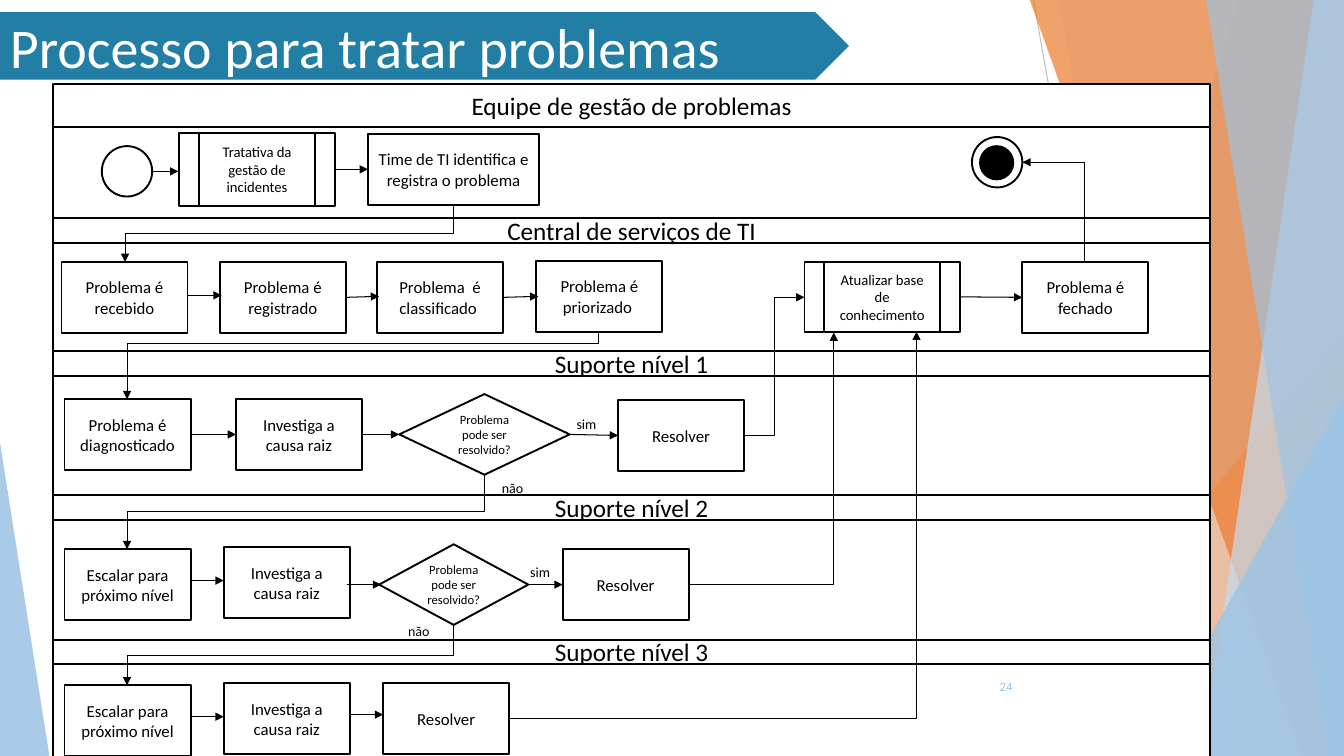
"""Build the problem-handling swimlane slide."""
from math import cos, radians, sin

from lxml.etree import SubElement
from pptx import Presentation
from pptx.dml.color import RGBColor
from pptx.enum.shapes import MSO_CONNECTOR as LINK, MSO_SHAPE as SHAPE
from pptx.enum.text import MSO_ANCHOR as ANCHOR, PP_ALIGN as ALIGN
from pptx.oxml.ns import qn
from pptx.util import Pt

PX = 9144
WIDTH, HEIGHT = 1333, 750
FONT, BLACK, WHITE = "Calibri", "000000", "FFFFFF"
SKY, ORANGE = "9CC3E5", "EC7B2D"
LANE_LEFT, LANE_WIDTH = 53, 1147
STEP_WIDTH, STEP_HEIGHT = 125, 70

BACKGROUND_LINES = [((1025, 0), (1158, 750), "BFBFBF"), ((1333, 403), (812, 750), "D9D9D9")]
BACKGROUND_BANDS = [
    (1228, 1004, SKY, 30),
    (1050, 1183, SKY, 20),
    (977, 333, 356, 417, 1, "F4B183", 72),
    (1021, 1291, ORANGE, 70),
    (1303, 1192, "C4DBEF", 70),
    (1196, 1318, SKY, 65),
    (1134, 393, 199, 357, 1, SKY, 80),
    (0, 439, 49, 311, 0, SKY, 85),
]
LANES = [
    (659, 119, ""),
    (83, 43, "Equipe de gestão de problemas"),
    (126, 90, ""),
    (216, 132, ""),
    (372, 119, ""),
    (348, 25, "Suporte nível 1"),
    (491, 25, "Suporte nível 2"),
    (634, 25, "Suporte nível 3"),
    (216, 25, "Central de serviços de TI"),
    (516, 119, ""),
]
EVENTS = [(101, 145, 50, WHITE), (964, 136, 50, WHITE), (972, 145, 33, BLACK)]
STEPS = [
    (61, 260, "Problema é recebido"),
    (218, 260, "Problema é registrado"),
    (374, 260, "Problema  é classificado "),
    (532, 259, "Problema é priorizado "),
    (1014, 260, "Problema é fechado"),
    (64, 396, "Problema é diagnosticado"),
    (234, 396, "Investiga a causa raiz"),
    (613, 397, "Resolver"),
    (64, 545, "Escalar para próximo nível"),
    (222, 543, "Investiga a causa raiz"),
    (558, 545, "Resolver"),
    (64, 680, "Escalar para próximo nível"),
    (222, 678, "Investiga a causa raiz"),
    (380, 678, "Resolver"),
]
SPECIAL_STEPS = [
    (SHAPE.FLOWCHART_PROCESS, (365, 133, 170, 70), "Time de TI identifica e registra o problema", 12),
    (SHAPE.FLOWCHART_PREDEFINED_PROCESS, (178, 132, 154, 72), "Tratativa da gestão de incidentes", 10.5),
    (SHAPE.FLOWCHART_PREDEFINED_PROCESS, (798, 260, 154, 69), "Atualizar base de conhecimento", 10.5),
    (SHAPE.FLOWCHART_DECISION, (396, 391, 169, 80), "Problema pode ser resolvido?", 9),
    (SHAPE.FLOWCHART_DECISION, (376, 540, 148, 80), "Problema pode ser resolvido?", 9),
]
ANSWERS = [(562, 407, "sim"), (488, 471, "não"), (516, 554, "sim"), (395, 613, "não")]
ARROWS = [
    ((151, 170), (177, 170)), ((332, 169), (365, 168)),
    ((186, 293), (220, 293)), ((343, 294), (376, 294)),
    ((500, 294), (534, 294)), ((952, 294), (1014, 295)),
    ((189, 431), (234, 431)), ((359, 431), (396, 431)), ((566, 431), (613, 432)),
    ((189, 576), (222, 576)), ((344, 580), (378, 580)), ((524, 580), (558, 580)),
    ((189, 711), (222, 711)), ((347, 709), (380, 709)),
]
ELBOWS = [
    ((450, 203), (124, 260), 90, 0.5),
    ((594, 329), (126, 396), 90, 0.18),
    ((481, 471), (126, 545), 90, 0.5),
    ((450, 620), (126, 680), 90, 0.5),
    ((738, 432), (798, 295), 0, 0.5),
    ((683, 580), (827, 330), 0, None),
    ((505, 713), (909, 329), 0, 1),
    ((1076, 260), (1014, 161), 270, None),
]


def rgb(color):
    return RGBColor.from_string(color)


def emu(*lengths):
    return [round(length * PX) for length in lengths]


def paint(shape, fill, outline=None, opacity=100):
    shape.shadow.inherit = False
    shape.fill.solid()
    shape.fill.fore_color.rgb = rgb(fill)
    if opacity < 100:
        color = shape._element.spPr.find(".//" + qn("a:srgbClr"))
        SubElement(color, qn("a:alpha")).set("val", str(opacity * 1000))
    if outline:
        shape.line.color.rgb = rgb(outline)
        shape.line.width = Pt(1.35)
    else:
        shape.line.fill.background()


def write(shape, text, size, color=BLACK, align=ALIGN.CENTER, anchor=ANCHOR.MIDDLE):
    frame = shape.text_frame
    frame.word_wrap = True
    frame.vertical_anchor = anchor
    paragraph = frame.paragraphs[0]
    paragraph.text = text
    paragraph.alignment = align
    paragraph.font.name = FONT
    paragraph.font.size = Pt(size)
    paragraph.font.color.rgb = rgb(color)


def add_box(slide, kind, box, text="", size=12, fill=WHITE):
    shape = slide.shapes.add_shape(kind, *emu(*box))
    paint(shape, fill, BLACK)
    if text:
        write(shape, text, size)
    return shape


def add_label(slide, box, text, size, *style):
    write(slide.shapes.add_textbox(*emu(*box)), text, size, *style)


def add_line(slide, kind, start, end, color=BLACK, arrow=True):
    connector = slide.shapes.add_connector(kind, *emu(*start, *end))
    connector.line.color.rgb = rgb(color)
    connector.line.width = Pt(0.75)
    if arrow:
        SubElement(connector.line._get_or_add_ln(), qn("a:tailEnd")).set("type", "triangle")
    SubElement(connector._element.spPr, qn("a:effectLst"))
    return connector


def add_elbow(slide, start, end, turn, bend):
    """Add an elbow arrow; a bend of None means a single corner."""
    middle_x, middle_y = (start[0] + end[0]) / 2, (start[1] + end[1]) / 2
    dx, dy = start[0] - middle_x, start[1] - middle_y
    cosine, sine = cos(radians(turn)), sin(radians(turn))
    local_x, local_y = dx * cosine + dy * sine, dy * cosine - dx * sine
    connector = add_line(slide, LINK.ELBOW, (middle_x + local_x, middle_y + local_y),
                         (middle_x - local_x, middle_y - local_y))
    properties = connector._element.spPr
    properties.find(qn("a:xfrm")).set("rot", str(turn * 60000))
    geometry = properties.find(qn("a:prstGeom"))
    if bend is None:
        geometry.set("prst", "bentConnector2")
    else:
        guide = SubElement(geometry.find(qn("a:avLst")), qn("a:gd"))
        guide.set("name", "adj1")
        guide.set("fmla", f"val {round(bend * 100000)}")


def find_joint(shapes, point, right_side):
    """Return the shape whose side has its middle at the point, if any."""
    x, y = emu(*point)
    for shape in shapes:
        side = shape.left + shape.width * right_side
        if max(abs(side - x), abs(shape.top + shape.height / 2 - y)) <= 1.5 * PX:
            return shape
    return None


def add_background(slide):
    for start, end, color in BACKGROUND_LINES:
        add_line(slide, LINK.STRAIGHT, start, end, color, arrow=False)
    for *place, color, opacity in BACKGROUND_BANDS:
        if len(place) == 2:
            top, bottom = place
            builder = slide.shapes.build_freeform(top, -1, scale=PX)
            builder.add_line_segments([(WIDTH, -1), (WIDTH, HEIGHT), (bottom, HEIGHT)])
            shape = builder.convert_to_shape()
        else:
            *box, apex = place
            shape = slide.shapes.add_shape(SHAPE.ISOSCELES_TRIANGLE, *emu(*box))
            shape.adjustments[0] = apex
        paint(shape, color, opacity=opacity)


def main():
    presentation = Presentation()
    presentation.slide_width, presentation.slide_height = emu(WIDTH, HEIGHT)
    slide = presentation.slides.add_slide(presentation.slide_layouts[6])
    add_background(slide)
    for top, height, text in LANES:
        add_box(slide, SHAPE.RECTANGLE, (LANE_LEFT, top, LANE_WIDTH, height), text, 18)
    for left, top, size, fill in EVENTS:
        add_box(slide, SHAPE.FLOWCHART_CONNECTOR, (left, top, size, size), fill=fill)
    steps = [add_box(slide, SHAPE.FLOWCHART_PROCESS, (left, top, STEP_WIDTH, STEP_HEIGHT), text)
             for left, top, text in STEPS]
    steps += [add_box(slide, *step) for step in SPECIAL_STEPS]
    for left, top, text in ANSWERS:
        add_label(slide, (left, top, 53, 27), text, 10, BLACK, ALIGN.LEFT, ANCHOR.TOP)
    for start, end in ARROWS:
        connector = add_line(slide, LINK.STRAIGHT, start, end)
        source, target = find_joint(steps, start, True), find_joint(steps, end, False)
        if source:
            connector.begin_connect(source, 3)
        if target:
            connector.end_connect(target, 1)
    for elbow in ELBOWS:
        add_elbow(slide, *elbow)
    title = slide.shapes.add_shape(SHAPE.PENTAGON, *emu(0, 12, 842, 67))
    paint(title, "227EA4")
    write(title, "Processo para tratar problemas", 40, WHITE, ALIGN.LEFT)
    add_label(slide, (939, 661, 75, 40), "24", 9, SKY, ALIGN.RIGHT)
    presentation.save("out.pptx")


if __name__ == "__main__":
    main()
